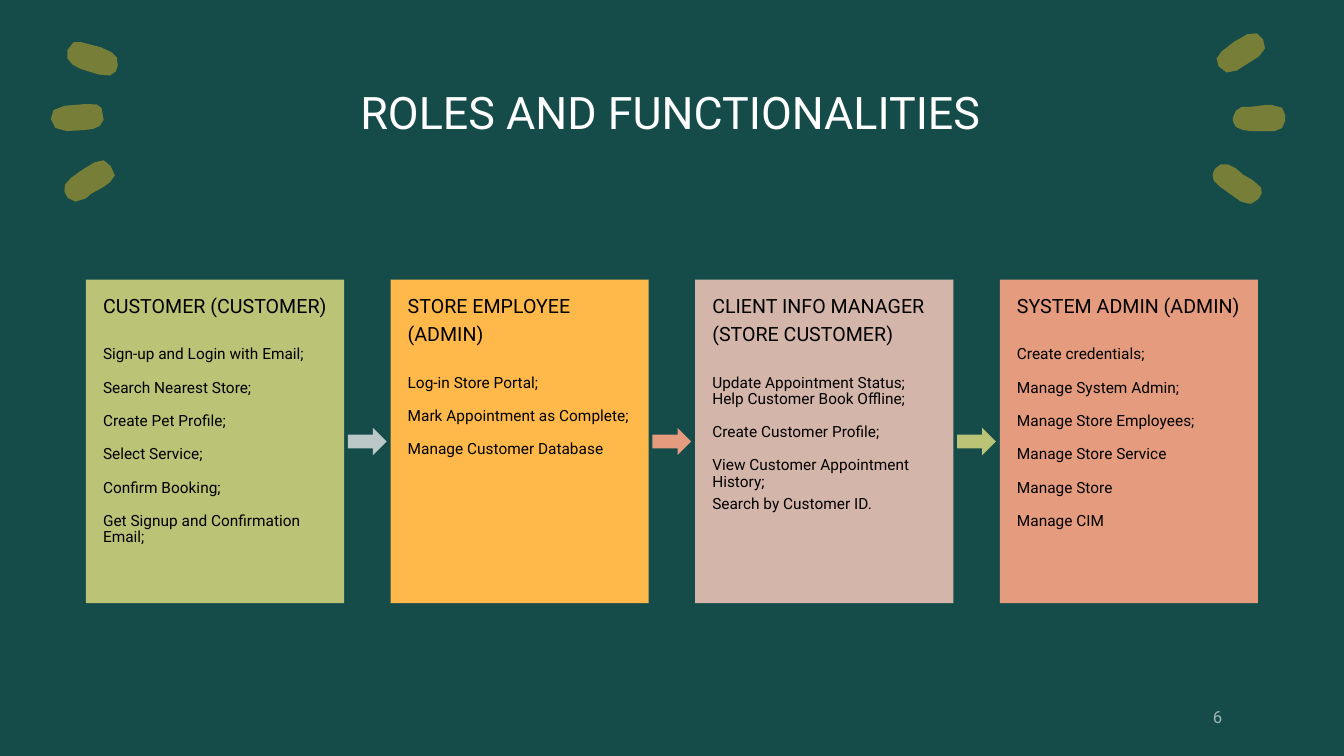
from pptx import Presentation
from pptx.dml.color import RGBColor
from pptx.enum.shapes import MSO_SHAPE
from pptx.enum.text import MSO_ANCHOR, PP_ALIGN
from pptx.util import Pt

RECT, ARROW = MSO_SHAPE.RECTANGLE, MSO_SHAPE.RIGHT_ARROW
TOP, MIDDLE = MSO_ANCHOR.TOP, MSO_ANCHOR.MIDDLE
LEFT, CENTER = PP_ALIGN.LEFT, PP_ALIGN.CENTER


def paint(fill, color):
    fill.solid()
    fill.fore_color.rgb = RGBColor.from_string(color)


def write(frame, lines, color, anchor, align, insets):
    """Fill a text frame with (text, size, space before, line spacing) lines."""
    frame.word_wrap = True
    frame.vertical_anchor = anchor
    (frame.margin_left, frame.margin_top,
     frame.margin_right, frame.margin_bottom) = map(Pt, insets)
    for i, (text, size, gap, spacing) in enumerate(lines):
        para = frame.paragraphs[0] if i == 0 else frame.add_paragraph()
        para.text = text
        para.alignment = align
        para.line_spacing = spacing
        para.space_before = Pt(gap)
        para.font.name = "Roboto"
        para.font.size = Pt(size)
        paint(para.font.fill, color)


deck = Presentation()
deck.slide_width, deck.slide_height = Pt(960), Pt(540)
slide = deck.slides.add_slide(deck.slide_layouts[6])
paint(slide.background.fill, "154C4A")
shapes = slide.shapes

# Outlines of the brush dabs
dabs = [
    [(78.5, 130.3), (73.4, 133.9), (65.5, 138.2), (61.2, 141.8), (54, 144),
     (48.4, 141.4), (46.1, 137), (46.4, 132), (50.4, 127.4), (56.2, 123.1),
     (60.5, 120.2), (67.7, 115.9), (74.2, 114.5), (79.2, 118.8), (82.1, 125.3)],
    [(66.2, 92.2), (59.8, 92.9), (47.5, 93.6), (39.5, 91.4), (36.3, 85),
     (38.3, 78.6), (46.1, 75.6), (61.2, 74.3), (69, 74.6), (72.5, 77),
     (74, 85.6), (71.3, 90)],
    [(58.3, 30.2), (52.6, 30.2), (49.7, 33.8), (48.2, 36), (48.2, 41.8),
     (51.8, 46.1), (56.9, 49), (70.6, 53.3), (78.5, 54), (82.8, 51.1),
     (84.2, 46.8), (83.5, 41), (79.9, 37.4), (72, 33.8)],
    [(910.8, 93.6), (902.9, 93.6), (892.8, 93.6), (887.8, 92.9), (882.7, 90.7),
     (880.6, 86.4), (880.6, 84.2), (882.7, 79.2), (887, 76.3), (893.5, 76.3),
     (905, 74.9), (908, 74.9), (915.8, 77), (918, 82.1), (918, 86.4),
     (915.8, 91.4)],
    [(872.6, 36.7), (882, 29.5), (888.5, 25.9), (890.6, 24.5), (897.8, 23.8),
     (902.2, 28.1), (903.6, 34.6), (899.3, 40.3), (883.4, 50.4), (876.2, 51.8),
     (870.5, 47.5), (869, 41.8)],
    [(866.9, 128.9), (866.2, 125.3), (866.9, 122.4), (868.3, 120.2),
     (871.9, 117.4), (877, 117.4), (882.7, 120.2), (887.8, 124.6), (895, 128.9),
     (900.7, 133.9), (901.2, 138), (899.3, 141.8), (894.2, 145.4),
     (891.4, 145.4), (886.3, 144), (871.2, 133.2)],
]
for dab in dabs:
    dots = [(Pt(x), Pt(y)) for x, y in dab]
    pen = shapes.build_freeform(*dots[0])
    pen.add_line_segments(dots[1:])
    blob = pen.convert_to_shape()
    blob.shadow.inherit = False
    blob.line.fill.background()
    paint(blob.fill, "767E37")

title = shapes.add_textbox(Pt(56.6), Pt(49), Pt(844.8), Pt(62))
write(title.text_frame, [("ROLES AND FUNCTIONALITIES", 32, 0, 1)],
      "FFFFFF", MIDDLE, CENTER, (0, 0, 0, 0))
number = shapes.add_textbox(Pt(866.4), Pt(482), Pt(93.6), Pt(57))
write(number.text_frame, [("6", 12, 0, 1.2)],
      "9DB4B3", MIDDLE, LEFT, (0, 14.4, 0, 14.4))

# Role cards: fill, arrow colour, heading lines, functions
cards = [
    ("BAC376", "BCC8C8", ["CUSTOMER (CUSTOMER)"],
     ["Sign-up and Login with Email;", "Search Nearest Store;",
      "Create Pet Profile;", "Select Service;", "Confirm Booking;",
      "Get Signup and Confirmation Email;"]),
    ("FEB94A", "E59B7D", ["STORE EMPLOYEE", "(ADMIN)"],
     ["Log-in Store Portal;", "Mark Appointment as Complete;",
      "Manage Customer Database"]),
    ("D4B5A9", "BAC376", ["CLIENT INFO MANAGER", "(STORE CUSTOMER)"],
     ["Update Appointment Status;\vHelp Customer Book Offline;",
      "Create Customer Profile;", "View Customer Appointment History;",
      "Search by Customer ID."]),
    ("E59B7D", None, ["SYSTEM ADMIN (ADMIN)"],
     ["Create credentials;", "Manage System Admin;", "Manage Store Employees;",
      "Manage Store Service", "Manage Store", "Manage CIM"]),
]
tight = {"Search by Customer ID.": 4}
for i, (color, tip, heads, tasks) in enumerate(cards):
    x = 61.4 + 217.6 * i
    parts = [(RECT, x, 199.8, 184.4, 231, color)]
    if tip:
        parts.append((ARROW, x + 187.1, 305.7, 27.6, 19.4, tip))
    made = []
    for kind, left, top, width, height, tone in parts:
        part = shapes.add_shape(kind, Pt(left), Pt(top), Pt(width), Pt(height))
        part.shadow.inherit = False
        part.line.fill.background()
        paint(part.fill, tone)
        made.append(part)
    lines = [(head, 14, 5 if j else 0, 0.9) for j, head in enumerate(heads)]
    lines += [(task, 11, tight.get(task, 12.2) if j else 20.8, 0.88)
              for j, task in enumerate(tasks)]
    write(made[0].text_frame, lines, "000000", TOP, LEFT, (12.2, 12, 8, 12))

deck.save("out.pptx")
